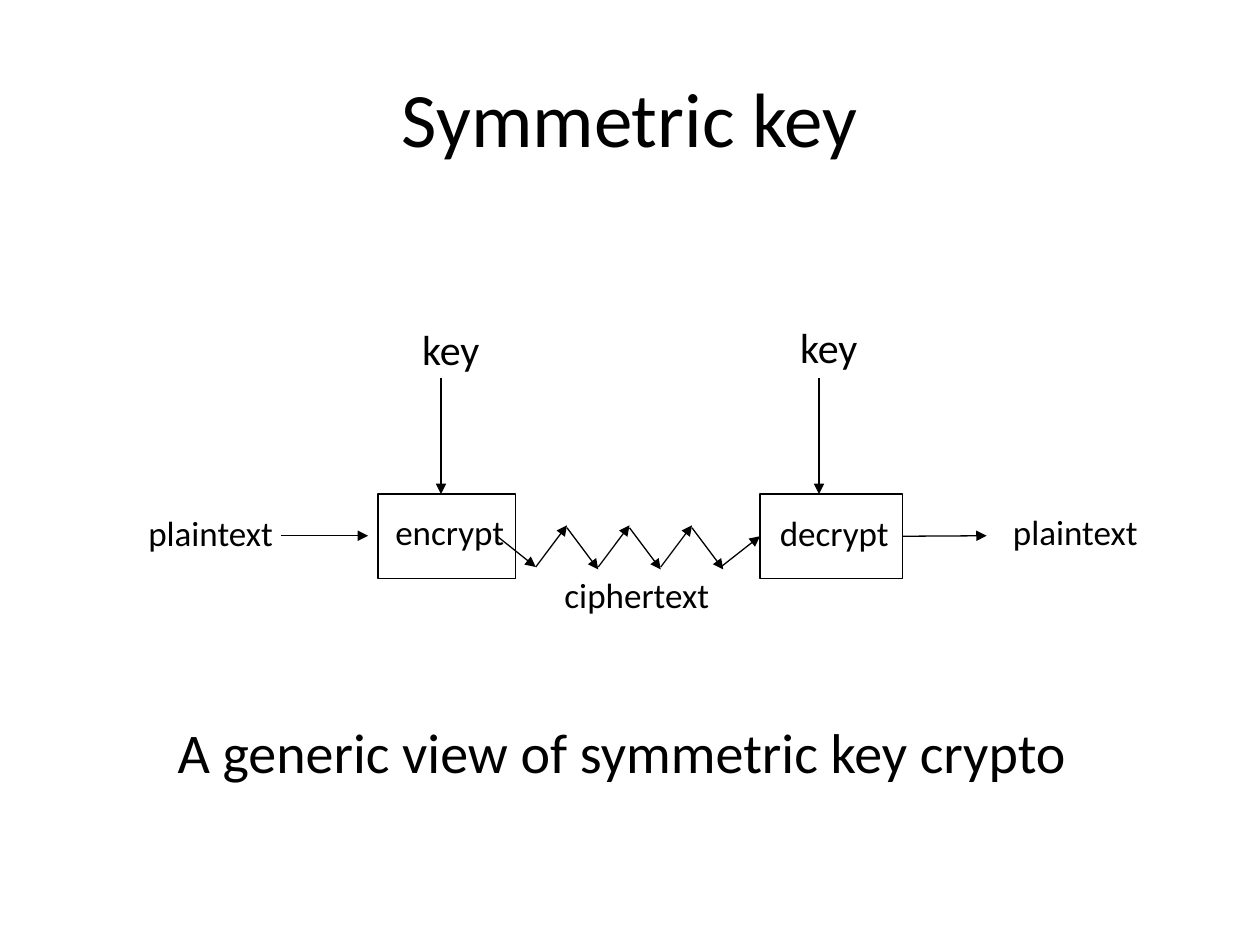
from dataclasses import dataclass

from pptx import Presentation
from pptx.dml.color import RGBColor
from pptx.enum import shapes, text
from pptx.oxml import ns
from pptx.oxml import xmlchemy as xml
from pptx.util import Cm, Pt


@dataclass(frozen=True)
class Theme:
    font: str = "Calibri"
    ink: RGBColor = RGBColor(0, 0, 0)
    title: int = 44
    caption: int = 32
    key: int = 24
    label: int = 20
    line: float = 0.75


theme = Theme()
prs = Presentation()
prs.slide_width, prs.slide_height = Cm(25.4), Cm(19.05)
s = prs.slides.add_slide(prs.slide_layouts[6])


def add_text(words, x, y, w, h, size, wrap=True):
    sp = s.shapes.add_textbox(Cm(x), Cm(y), Cm(w), Cm(h))
    tf = sp.text_frame
    tf.word_wrap = wrap
    p = tf.paragraphs[0]
    p.text = words
    p.font.name, p.font.size = theme.font, Pt(size)
    p.font.color.rgb = theme.ink
    return sp


def add_arrow(x1, y1, x2, y2):
    c = s.shapes.add_connector(shapes.MSO_CONNECTOR.STRAIGHT,
                               Cm(x1), Cm(y1), Cm(x2), Cm(y2))
    c.line.color.rgb = theme.ink
    c.line.width = Pt(theme.line)
    tail = xml.OxmlElement("a:tailEnd")
    tail.set("type", "triangle")
    c.line._get_or_add_ln().append(tail)
    c._element.find(ns.qn("p:spPr")).append(xml.OxmlElement("a:effectLst"))
    return c


# Title
sp = add_text("Symmetric key", 1.27, 0.76, 22.86, 3.18, theme.title)
sp.text_frame.vertical_anchor = text.MSO_ANCHOR.MIDDLE
sp.text_frame.paragraphs[0].alignment = text.PP_ALIGN.CENTER

# Encrypt and decrypt boxes
boxes = []
for x, w in ((7.62, 2.77), (15.32, 2.87)):
    sp = s.shapes.add_shape(shapes.MSO_SHAPE.RECTANGLE,
                            Cm(x), Cm(9.96), Cm(w), Cm(1.7))
    sp.shadow.inherit = False
    sp.fill.background()
    sp.line.color.rgb = theme.ink
    sp.line.width = Pt(theme.line)
    boxes.append(sp)
decrypt_box = boxes[1]

# Labels and caption
for words, x, y, w, h, size, wrap in (
    ("plaintext", 2.74, 10.19, 3.28, 1.12, theme.label, True),
    ("key", 15.88, 6.35, 1.75, 1.27, theme.key, True),
    ("key", 8.26, 6.4, 1.7, 1.27, theme.key, True),
    ("plaintext", 20.17, 10.16, 3.56, 1.12, theme.label, True),
    ("ciphertext", 11.13, 11.43, 3.81, 1.12, theme.label, True),
    ("A generic view of symmetric key crypto",
     3.33, 14.33, 18.59, 1.63, theme.caption, False),
    ("encrypt", 7.72, 10.16, 2.74, 1.12, theme.label, False),
    ("decrypt", 15.47, 10.19, 2.74, 1.12, theme.label, False),
):
    sp = add_text(words, x, y, w, h, size, wrap)
    sp.text_frame.auto_size = text.MSO_AUTO_SIZE.SHAPE_TO_FIT_TEXT

# Plaintext in and out, keys down into the boxes
mid = 10.8
add_arrow(5.66, mid, 7.42, mid)
add_arrow(18.16, mid, 19.89, mid).begin_connect(decrypt_box, 3)
for x in (8.89, 16.51):
    add_arrow(x, 7.62, x, 9.96)

# Ciphertext zigzag
left, step, low = 10.8, 0.63, 11.43
add_arrow(10.01, mid, left, low)
for i in range(3):
    x = left + 2 * step * i
    add_arrow(x, low, x + step, 10.59)
    add_arrow(x + step, 10.64, x + 2 * step, 11.48)
add_arrow(14.53, low, 15.32, mid).end_connect(decrypt_box, 1)

prs.save("out.pptx")
